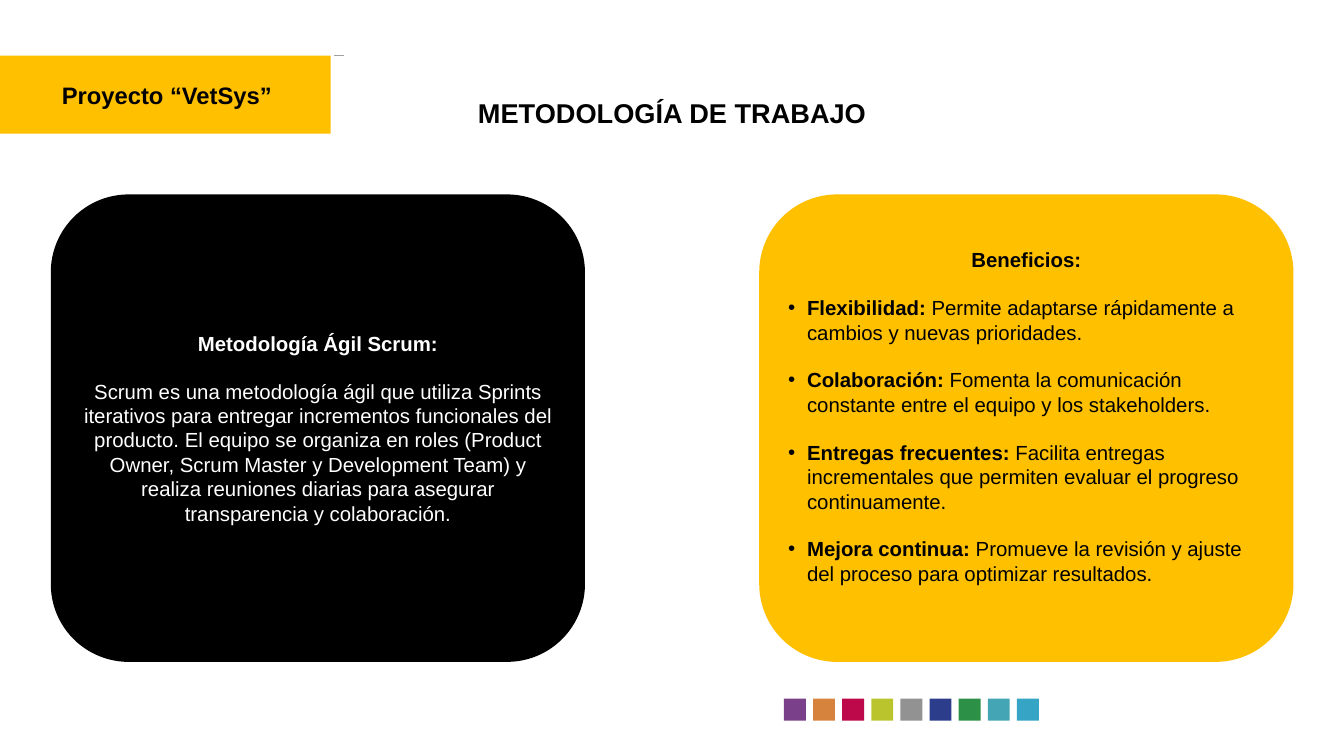
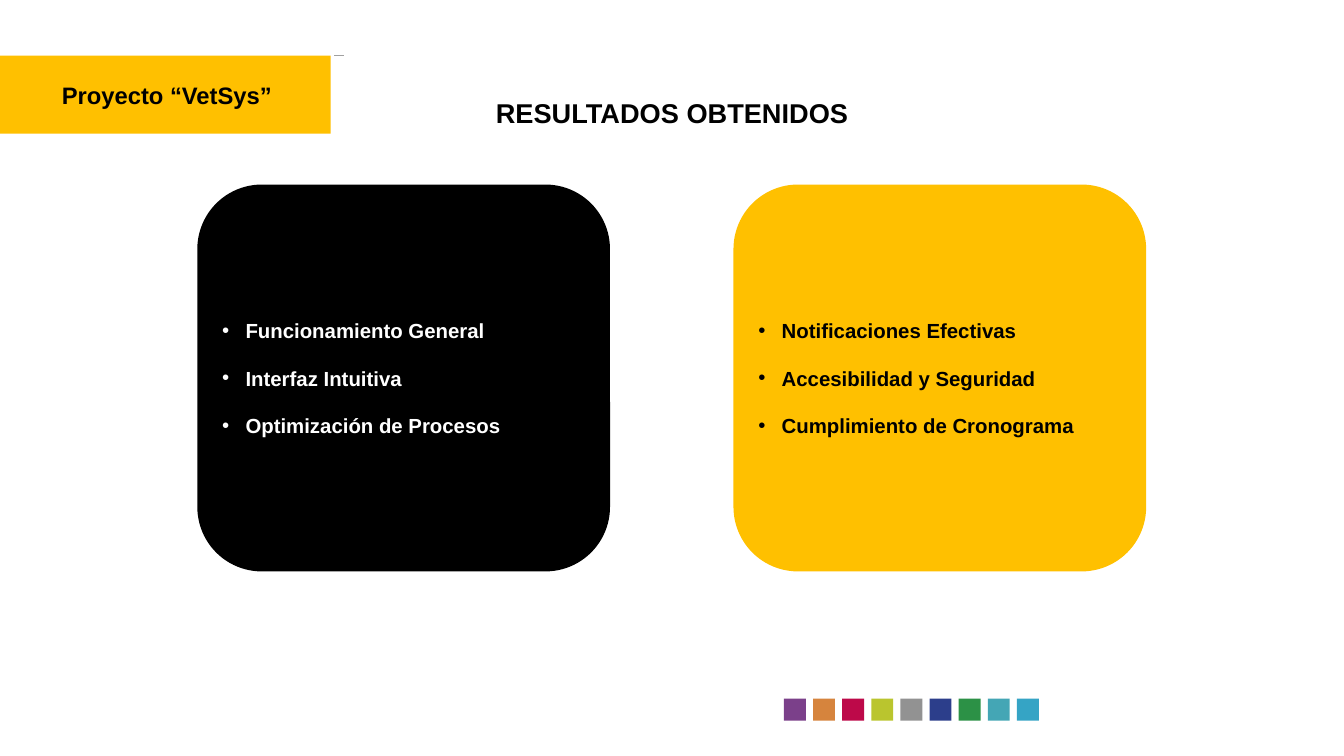
from dataclasses import dataclass

from lxml.etree import SubElement
from pptx import Presentation
from pptx.dml.color import RGBColor
from pptx.enum.shapes import MSO_CONNECTOR, MSO_SHAPE
from pptx.enum.text import MSO_ANCHOR, PP_ALIGN
from pptx.oxml.ns import qn
from pptx.util import Cm, Pt


@dataclass(frozen=True)
class Theme:
    font: str = "Arial"
    black: str = "000000"
    white: str = "FFFFFF"
    yellow: str = "FFC000"
    hairline: str = "A0A0A0"
    squares: tuple = ("7B408A", "D6843D", "BD0949", "BAC52E", "929292",
                      "2C3E8B", "2C9146", "44A6B5", "35A4C5")
    title_size: int = 32
    band_size: int = 28
    body_size: int = 24
    paragraph_gap: float = 27.6


@dataclass(frozen=True)
class Item:
    """A paragraph with a bold lead and an optional regular rest."""
    lead: str = ""
    rest: str = ""
    indent: float = 0  # cm; a bullet hangs in it when it is above zero


@dataclass(frozen=True)
class CardStyle:
    fill: str
    text: str


THEME = Theme()
DARK = CardStyle(THEME.black, THEME.white)
BRIGHT = CardStyle(THEME.yellow, THEME.black)
WIDE_INDENT = 0.97
NARROW_INDENT = 0.79


def rgb(value):
    return RGBColor.from_string(value)


def style_paragraph(paragraph, size, color, alignment=PP_ALIGN.CENTER, bold=None):
    paragraph.alignment = alignment
    font = paragraph.font
    font.name, font.size, font.bold = THEME.font, Pt(size), bold
    font.color.rgb = rgb(color)


def add_block(slide, kind, left, top, width, height, fill):
    shape = slide.shapes.add_shape(kind, Cm(left), Cm(top), Cm(width), Cm(height))
    shape.shadow.inherit = False
    shape.fill.solid()
    shape.fill.fore_color.rgb = rgb(fill)
    shape.line.fill.background()
    return shape


def add_band(slide):
    band = add_block(slide, MSO_SHAPE.RECTANGLE, 0, 2.31, 13.74, 3.25, THEME.yellow)
    frame = band.text_frame
    frame.margin_left, frame.margin_right = Cm(0.12), 0
    frame.vertical_anchor = MSO_ANCHOR.MIDDLE
    frame.text = "Proyecto “VetSys”"
    style_paragraph(frame.paragraphs[0], THEME.band_size, THEME.black, bold=True)

    tick = slide.shapes.add_connector(
        MSO_CONNECTOR.STRAIGHT, Cm(13.9), Cm(2.31), Cm(14.3), Cm(2.31))
    tick.line.color.rgb = rgb(THEME.hairline)
    tick.line.width = Pt(0.5)
    SubElement(tick._element.spPr, qn("a:effectLst"))


def add_squares(slide, left=32.58, top=29.04, side=0.91, pitch=1.21):
    for index, color in enumerate(THEME.squares):
        add_block(slide, MSO_SHAPE.RECTANGLE, left + index * pitch, top, side, side, color)


def set_title(slide, text):
    title = slide.shapes.title
    title.left, title.top, title.width, title.height = Cm(14.99), Cm(3.89), Cm(25.88), Cm(1.63)
    frame = title.text_frame
    frame.text = text
    frame.word_wrap = True
    frame.vertical_anchor = MSO_ANCHOR.TOP
    style_paragraph(frame.paragraphs[0], THEME.title_size, THEME.black, bold=True)


def add_bullet(paragraph, indent):
    properties = paragraph._p.get_or_add_pPr()
    properties.set("marL", str(Cm(indent)))
    properties.set("indent", str(-Cm(indent)))
    SubElement(properties, qn("a:buFont"), typeface=THEME.font)
    SubElement(properties, qn("a:buChar"), char="•")


def add_card(slide, box, style, items, bottom_margin=0.13):
    card = add_block(slide, MSO_SHAPE.ROUNDED_RECTANGLE, *box, style.fill)
    frame = card.text_frame
    frame.word_wrap = True
    frame.vertical_anchor = MSO_ANCHOR.MIDDLE
    frame.margin_bottom = Cm(bottom_margin)
    for index, item in enumerate(items):
        paragraph = frame.add_paragraph() if index else frame.paragraphs[0]
        if index:
            paragraph.space_before = Pt(THEME.paragraph_gap)
        if item.indent:
            add_bullet(paragraph, item.indent)
        style_paragraph(paragraph, THEME.body_size, style.text,
                        PP_ALIGN.LEFT if item.indent else PP_ALIGN.CENTER)
        for text, bold in ((item.lead, True), (item.rest, False)):
            if text:
                run = paragraph.add_run()
                run.text = text
                run.font.bold = bold


def add_titled_slide(presentation, title):
    slide = presentation.slides.add_slide(presentation.slide_layouts[5])
    add_band(slide)
    add_squares(slide)
    set_title(slide, title)
    return slide


def add_method_slide(presentation):
    slide = add_titled_slide(presentation, "METODOLOGÍA DE TRABAJO")
    top, width, height = 8.08, 22.2, 19.43
    add_card(slide, (2.11, top, width, height), DARK, [
        Item("Metodología Ágil Scrum:"),
        Item(rest="Scrum es una metodología ágil que utiliza Sprints iterativos para "
                  "entregar incrementos funcionales del producto. El equipo se organiza "
                  "en roles (Product Owner, Scrum Master y Development Team) y realiza "
                  "reuniones diarias para asegurar transparencia y colaboración."),
    ])
    benefits = [
        ("Flexibilidad:", " Permite adaptarse rápidamente a cambios y nuevas prioridades."),
        ("Colaboración:",
         " Fomenta la comunicación constante entre el equipo y los stakeholders."),
        ("Entregas frecuentes:",
         " Facilita entregas incrementales que permiten evaluar el progreso continuamente."),
        ("Mejora continua:",
         " Promueve la revisión y ajuste del proceso para optimizar resultados."),
    ]
    add_card(slide, (31.55, top, width, height), BRIGHT,
             [Item("Beneficios:")]
             + [Item(lead, rest, NARROW_INDENT) for lead, rest in benefits],
             bottom_margin=1.1)


def add_results_slide(presentation):
    slide = add_titled_slide(presentation, "RESULTADOS OBTENIDOS")
    columns = [
        (8.2, DARK, ("Funcionamiento General", "Interfaz Intuitiva",
                     "Optimización de Procesos")),
        (30.48, BRIGHT, ("Notificaciones Efectivas", "Accesibilidad y Seguridad",
                         "Cumplimiento de Cronograma")),
    ]
    for left, style, results in columns:
        add_card(slide, (left, 7.67, 17.15, 16.08), style,
                 [Item(result, indent=WIDE_INDENT) for result in results])


def main():
    presentation = Presentation()
    presentation.slide_width, presentation.slide_height = Cm(55.85), Cm(31.42)
    add_method_slide(presentation)
    add_results_slide(presentation)
    presentation.save("out.pptx")


if __name__ == "__main__":
    main()
